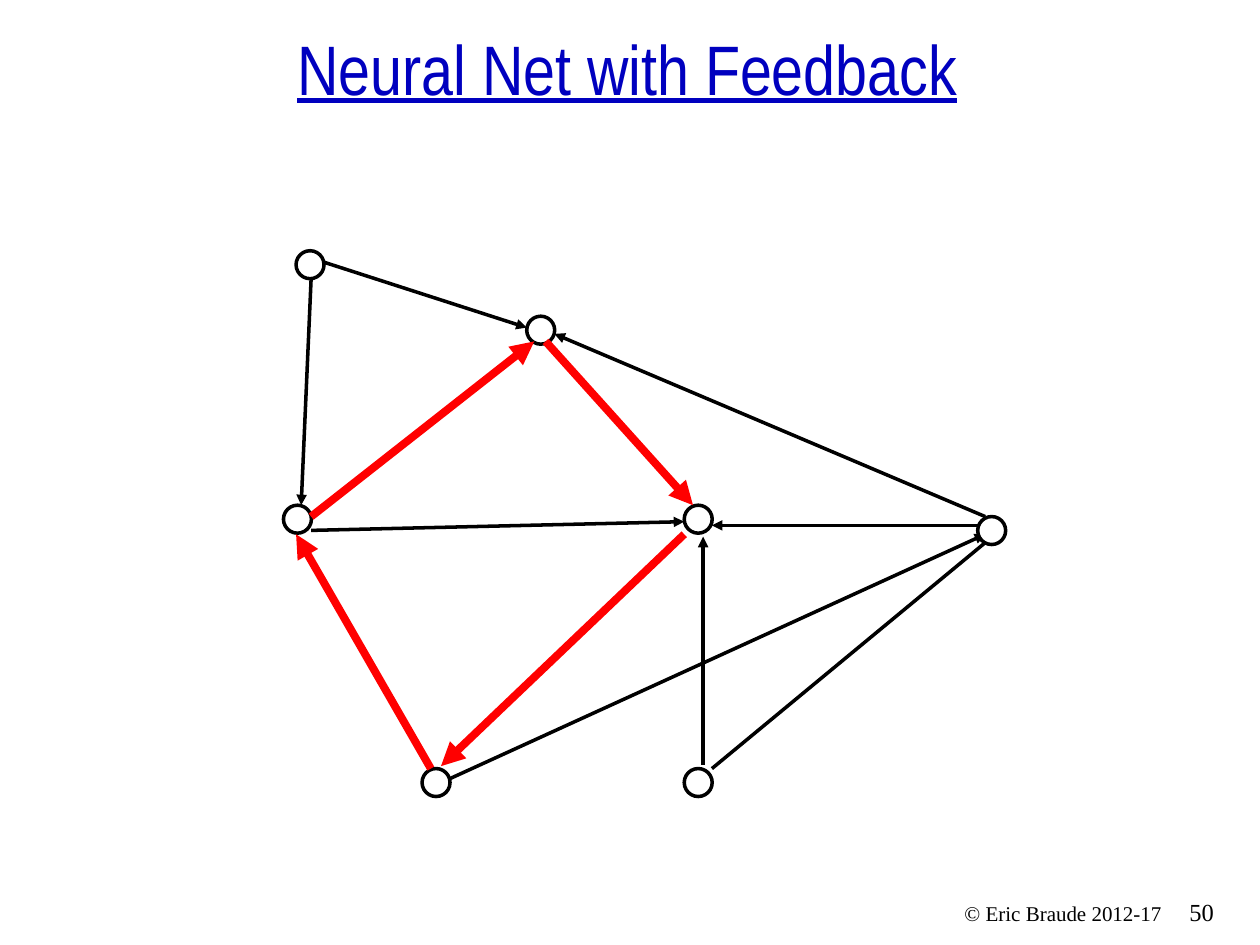
from pptx import Presentation
from pptx.dml.color import RGBColor
from pptx.enum.shapes import MSO_CONNECTOR, MSO_SHAPE
from pptx.enum.text import MSO_ANCHOR, PP_ALIGN
from pptx.oxml.ns import qn
from pptx.util import Pt
from lxml import etree

STRAIGHT = MSO_CONNECTOR.STRAIGHT
OVAL = MSO_SHAPE.OVAL
TOP, BOTTOM = MSO_ANCHOR.TOP, MSO_ANCHOR.BOTTOM
LEFT, CENTER, RIGHT = PP_ALIGN.LEFT, PP_ALIGN.CENTER, PP_ALIGN.RIGHT

BLACK, WHITE, RED, BLUE = "000000", "FFFFFF", "FF0000", "0000BF"
SERIF, NARROW = "Times New Roman", "Arial Narrow"
NODE_SIZE = 16
THIN, THICK = 2, 4.5

# Left and top of each neuron
NODES = [(301, 180.7), (391, 288.7), (391, 439.2), (241.2, 439.2),
         (162, 288.7), (169.2, 143.3)]
RIGHT_NODE = (558.7, 295.2)

# Start and end of each arrow; those in the first list pass behind the right node
ARROWS_BEHIND = [
    ((401.8, 437), (401.8, 306.7)),
    ((257, 445), (563, 305.3)),
    ((406.8, 439.2), (568.8, 305.3)),
    ((177.8, 303.1), (391, 298.1)),
    ((563, 295.2), (316.8, 190.8)),
]
ARROWS_FRONT = [
    ((558.7, 300.2), (406.8, 300.2)),
    ((185, 149.8), (301, 187.2)),
    ((177.8, 159.1), (172.1, 288.7)),
]
FEEDBACK_LOOP = [
    ((177.8, 295.2), (305.3, 195.1)),
    ((311.8, 195.1), (396, 288.7)),
    ((391, 305.3), (252, 437.8)),
    ((246.2, 439.2), (169.2, 305.3)),
]


def color(hex_string):
    return RGBColor.from_string(hex_string)


class NetworkSlide:
    """Holds the slide and the style of its neurons, arrows and text."""

    def __init__(self, slide):
        self.slide = slide

    def text(self, box, words, font, size, ink=BLACK, align=LEFT,
             anchor=TOP, underline=False):
        shape = self.slide.shapes.add_textbox(*map(Pt, box))
        frame = shape.text_frame
        frame.word_wrap = True
        frame.vertical_anchor = anchor
        paragraph = frame.paragraphs[0]
        paragraph.alignment = align
        run = paragraph.add_run()
        run.text = words
        run.font.name = font
        run.font.size = Pt(size)
        run.font.underline = underline
        run.font.color.rgb = color(ink)

    def node(self, left, top):
        shape = self.slide.shapes.add_shape(
            OVAL, Pt(left), Pt(top), Pt(NODE_SIZE), Pt(NODE_SIZE))
        shape.shadow.inherit = False
        shape.fill.solid()
        shape.fill.fore_color.rgb = color(WHITE)
        shape.line.color.rgb = color(BLACK)
        shape.line.width = Pt(THIN)

    def arrow(self, start, end, ink=BLACK, width=THIN):
        connector = self.slide.shapes.add_connector(
            STRAIGHT, *map(Pt, start + end))
        connector.line.color.rgb = color(ink)
        connector.line.width = Pt(width)
        properties = connector.element.spPr
        outline = properties.find(qn("a:ln"))
        etree.SubElement(outline, qn("a:tailEnd"), type="triangle")
        etree.SubElement(properties, qn("a:effectLst"))


def main():
    presentation = Presentation()
    presentation.slide_width = Pt(720)
    presentation.slide_height = Pt(540)
    slide = presentation.slides.add_slide(presentation.slide_layouts[6])
    network = NetworkSlide(slide)

    network.text((672.5, 509, 41.8, 24), "50", SERIF, 14)
    network.text((478.8, 511.2, 192.2, 21.6), "© Eric Braude 2012-17",
                 SERIF, 12, align=RIGHT)
    network.text((1.4, 27.4, 714.2, 38.9), "Neural Net with Feedback",
                 NARROW, 40, BLUE, CENTER, BOTTOM, underline=True)

    for position in NODES:
        network.node(*position)
    for start, end in ARROWS_BEHIND:
        network.arrow(start, end)
    network.node(*RIGHT_NODE)
    for start, end in ARROWS_FRONT:
        network.arrow(start, end)
    for start, end in FEEDBACK_LOOP:
        network.arrow(start, end, RED, THICK)

    presentation.save("out.pptx")


if __name__ == "__main__":
    main()
